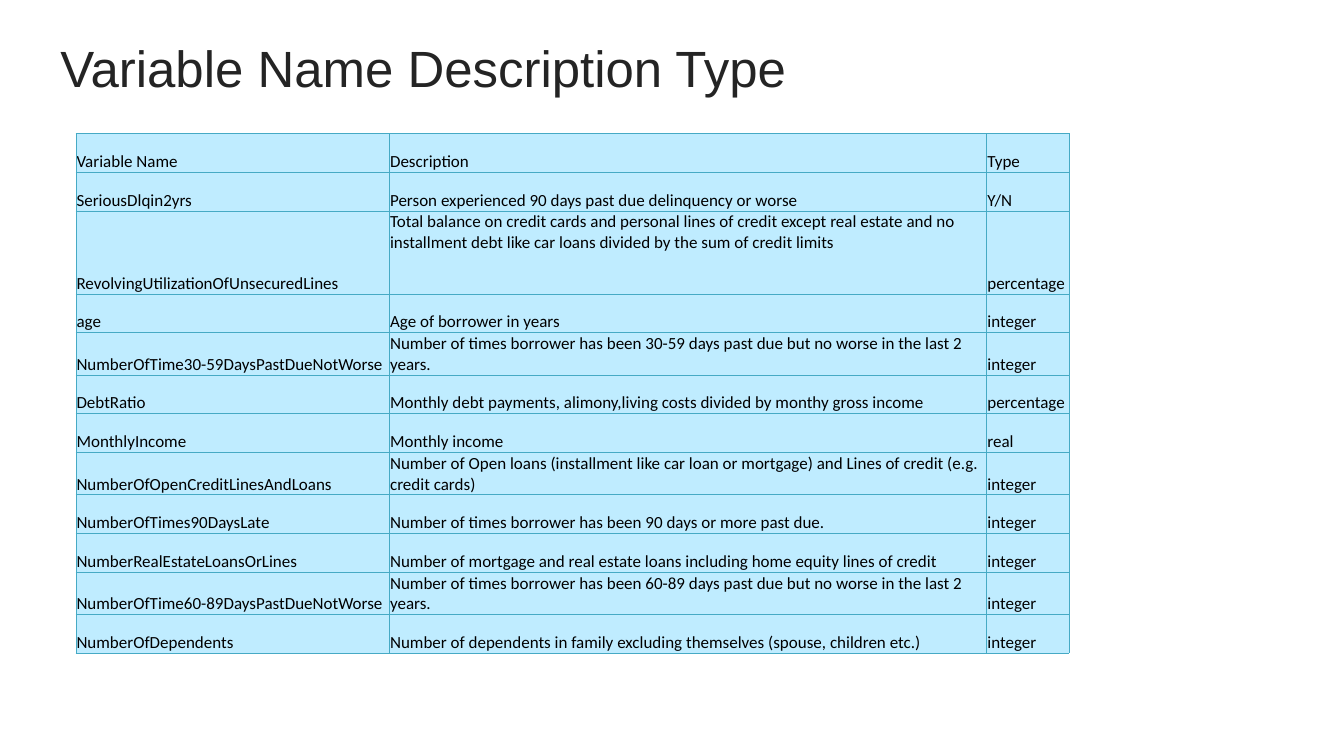
"""Build a slide with a table of credit data variables."""
from dataclasses import dataclass

from lxml import etree
from pptx import Presentation
from pptx.dml.color import RGBColor
from pptx.enum.text import MSO_ANCHOR
from pptx.oxml.ns import qn
from pptx.util import Cm, Pt

TOP, BOTTOM = MSO_ANCHOR.TOP, MSO_ANCHOR.BOTTOM


@dataclass(frozen=True)
class Theme:
    title: str = "242424"
    ink: str = "000000"
    fill: str = "BFECFF"
    edge: str = "46AAC5"
    head: int = 60
    body: int = 20
    line: float = 0.75


theme = Theme()


def write(frame, text, *, font, size, color, before=0):
    frame.word_wrap = True
    para = frame.paragraphs[0]
    para.space_before = Pt(before)
    run = para.add_run()
    run.text = text
    run.font.name = font
    run.font.size = Pt(size)
    run.font.color.rgb = RGBColor.from_string(color)


def border(cell):
    props = cell._tc.get_or_add_tcPr()
    for place, side in enumerate(("a:lnL", "a:lnR", "a:lnT", "a:lnB")):
        line = etree.Element(qn(side), w=str(Pt(theme.line)))
        fill = etree.SubElement(line, qn("a:solidFill"))
        etree.SubElement(fill, qn("a:srgbClr"), val=theme.edge)
        props.insert(place, line)


rows = [
    ("Variable Name", "Description", "Type"),
    ("SeriousDlqin2yrs", "Person experienced 90 days past due delinquency or worse", "Y/N"),
    ("RevolvingUtilizationOfUnsecuredLines",
     "Total balance on credit cards and personal lines of credit except real estate and no "
     "installment debt like car loans divided by the sum of credit limits", "percentage"),
    ("age", "Age of borrower in years", "integer"),
    ("NumberOfTime30-59DaysPastDueNotWorse",
     "Number of times borrower has been 30-59 days past due but no worse in the last 2 years.",
     "integer"),
    ("DebtRatio", "Monthly debt payments, alimony,living costs divided by monthy gross income",
     "percentage"),
    ("MonthlyIncome", "Monthly income", "real"),
    ("NumberOfOpenCreditLinesAndLoans",
     "Number of Open loans (installment like car loan or mortgage) and Lines of credit "
     "(e.g. credit cards)", "integer"),
    ("NumberOfTimes90DaysLate", "Number of times borrower has been 90 days or more past due.",
     "integer"),
    ("NumberRealEstateLoansOrLines",
     "Number of mortgage and real estate loans including home equity lines of credit", "integer"),
    ("NumberOfTime60-89DaysPastDueNotWorse",
     "Number of times borrower has been 60-89 days past due but no worse in the last 2 years.",
     "integer"),
    ("NumberOfDependents",
     "Number of dependents in family excluding themselves (spouse, children etc.)", "integer"),
]
widths = (13.03, 24.82, 3.43)
step, tall = 1.61, 3.45
long_row = 2

deck = Presentation()
deck.slide_width, deck.slide_height = Cm(55.85), Cm(31.42)
slide = deck.slides.add_slide(deck.slide_layouts[6])

heights = [tall if r == long_row else step for r in range(len(rows))]
table = slide.shapes.add_table(
    len(rows), len(widths), Cm(3.15), Cm(5.54), Cm(sum(widths)), Cm(sum(heights))).table
table.first_row = table.horz_banding = False
for column, width in zip(table.columns, widths):
    column.width = Cm(width)
for r, (row, height) in enumerate(zip(rows, heights)):
    table.rows[r].height = Cm(height)
    for c, text in enumerate(row):
        cell = table.cell(r, c)
        cell.margin_left = cell.margin_top = cell.margin_right = Cm(0.03)
        cell.margin_bottom = 0
        cell.vertical_anchor = TOP if (r, c) == (long_row, 1) else BOTTOM
        cell.fill.solid()
        cell.fill.fore_color.rgb = RGBColor.from_string(theme.fill)
        border(cell)
        write(cell.text_frame, text, font="Calibri", size=theme.body, color=theme.ink)

frame = slide.shapes.add_textbox(Cm(2.51), Cm(1.24), Cm(34.11), Cm(2.84)).text_frame
frame.margin_left = frame.margin_right = frame.margin_bottom = 0
frame.margin_top = Cm(0.28)
write(frame, "Variable Name Description Type", font="Arial", size=theme.head,
      color=theme.title, before=9.2)

deck.save("out.pptx")
